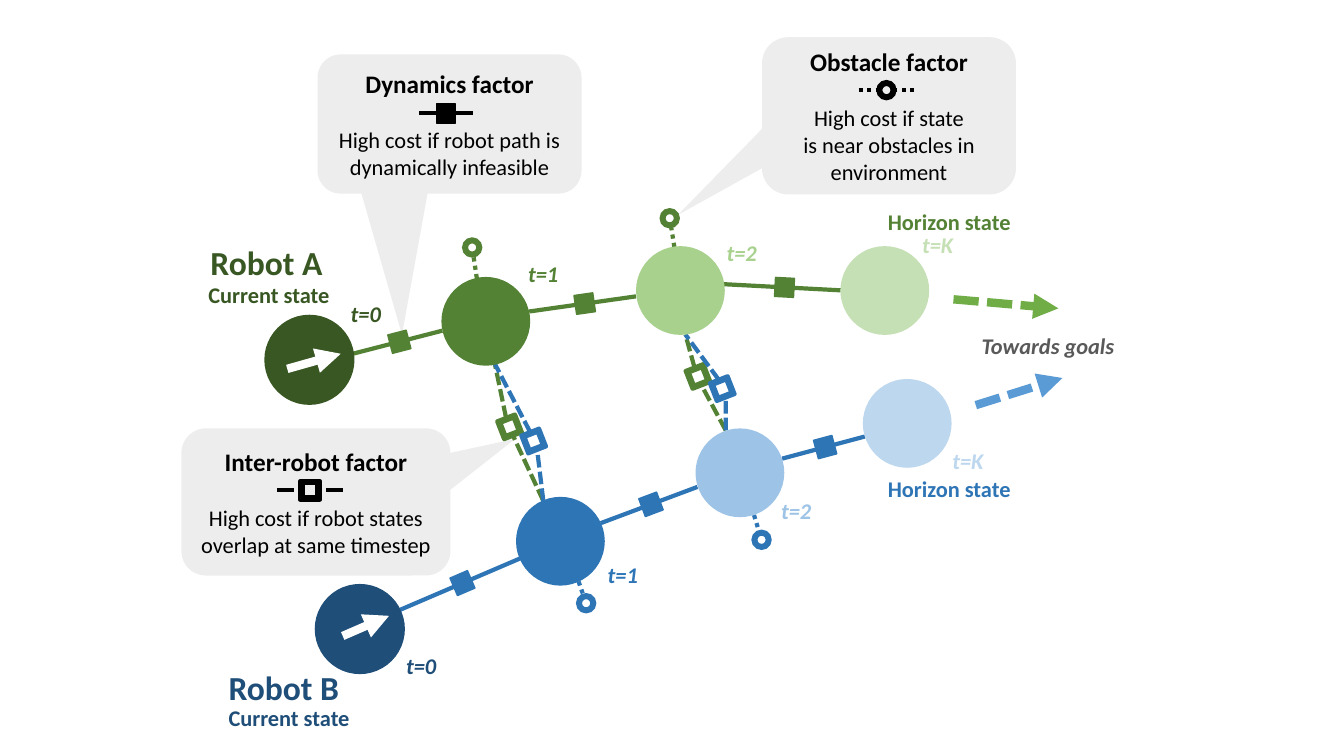
from copy import deepcopy
from math import atan2, cos, degrees, hypot, radians, sin

from lxml import etree
from pptx import Presentation
from pptx.dml.color import RGBColor
from pptx.enum import dml, shapes, text
from pptx.oxml import ns
from pptx.util import Pt

BLACK = RGBColor(0x00, 0x00, 0x00)
WHITE = RGBColor(0xFF, 0xFF, 0xFF)
CALLOUT_GREY = RGBColor(0xED, 0xED, 0xED)
GOAL_GREY = RGBColor(0x59, 0x59, 0x59)
GREENS = [RGBColor(0x38, 0x57, 0x23), RGBColor(0x54, 0x82, 0x35),
          RGBColor(0xA9, 0xD1, 0x8E), RGBColor(0xC5, 0xE0, 0xB4)]
BLUES = [RGBColor(0x1F, 0x4E, 0x79), RGBColor(0x2E, 0x75, 0xB6),
         RGBColor(0x9D, 0xC3, 0xE6), RGBColor(0xBD, 0xD7, 0xEE)]
GOAL_GREEN = RGBColor(0x70, 0xAD, 0x47)
GOAL_BLUE = RGBColor(0x5B, 0x9B, 0xD5)

FONT = "Calibri"
FACTOR = 13.6  # side of a factor symbol
STATE = 63.4  # diameter of a state
TILT = 338.6  # rotation of the inter-robot factors
TIMES = ["t=0", "t=1", "t=2", "t=K"]
SHAPE = shapes.MSO_SHAPE
DASH = dml.MSO_LINE


def write(paragraph, words, size=16, color=BLACK, bold=True, italic=False,
          align=text.PP_ALIGN.LEFT, before=0):
    paragraph.text = words
    paragraph.alignment = align
    if before:
        paragraph.space_before = Pt(before)
    for run in paragraph.runs:
        font = run.font
        font.name, font.size, font.bold, font.italic = FONT, Pt(size), bold, italic
        font.color.rgb = color
    # Line breaks take the format of the first run
    for line_break in paragraph._p.findall(ns.qn("a:br")):
        line_break.append(deepcopy(paragraph.runs[0]._r.rPr))


def label(slide, words, x, y, width, height=26.6, wrap=False, **look):
    frame = slide.shapes.add_textbox(Pt(x), Pt(y), Pt(width), Pt(height)).text_frame
    frame.word_wrap = wrap
    frame.auto_size = text.MSO_AUTO_SIZE.SHAPE_TO_FIT_TEXT
    write(frame.paragraphs[0], words, **look)


def solid(slide, kind, x, y, width, height, color, outline=0, turn=0):
    shape = slide.shapes.add_shape(kind, Pt(x), Pt(y), Pt(width), Pt(height))
    shape.shadow.inherit = False
    shape.rotation = turn
    shape.fill.solid()
    shape.fill.fore_color.rgb = color
    if outline:
        shape.line.color.rgb = color
        shape.line.width = Pt(outline)
    else:
        shape.line.fill.background()
    return shape


def symbol(slide, kind, center, color, side=FACTOR, outline=1, turn=0):
    x, y = center
    solid(slide, kind, x - side / 2, y - side / 2, side, side, color, outline, turn)


def link(slide, start, end, color, width=3, dash=None, arrow=False):
    line = slide.shapes.add_connector(shapes.MSO_CONNECTOR.STRAIGHT,
                                      *map(Pt, (*start, *end)))
    line.line.color.rgb = color
    line.line.width = Pt(width)
    if dash:
        line.line.dash_style = dash
    if arrow:
        etree.SubElement(line.line._get_or_add_ln(), ns.qn("a:tailEnd"), type="triangle")
    etree.SubElement(line._element.spPr, ns.qn("a:effectLst"))


def callout(slide, box, tip, title, body, kind, center, arm, dash=None, outline=1):
    """Rounded callout with a title, a factor symbol and an explanation."""
    x, y, width, height = box
    bubble = solid(slide, SHAPE.ROUNDED_RECTANGULAR_CALLOUT, *box, CALLOUT_GREY)
    for i, value in enumerate((*tip, 0.167)):
        bubble.adjustments[i] = value
    frame = bubble.text_frame
    frame.word_wrap = True
    frame.vertical_anchor = text.MSO_ANCHOR.MIDDLE
    write(frame.paragraphs[0], title, size=18, align=text.PP_ALIGN.CENTER)
    write(frame.add_paragraph(), body, bold=False,
          align=text.PP_ALIGN.CENTER, before=19.5)
    # Factor symbol between its two arms
    cx, cy = x + center[0], y + center[1]
    for side in (-1, 1):
        inner = FACTOR / 2
        link(slide, (cx + side * (inner + arm), cy), (cx + side * inner, cy),
             BLACK, dash=dash)
    symbol(slide, kind, (cx, cy), BLACK, outline=outline)


def inter_robot_factors(slide, box, centers):
    """Green and blue factors tying two states; the states meet the box corners."""
    x, y, width, height = box
    edge = FACTOR / 2
    dx, dy = -sin(radians(TILT)) * edge, cos(radians(TILT)) * edge
    for (cx, cy), color in zip(centers, (GREENS[1], BLUES[1])):
        cx, cy = x + cx, y + cy
        link(slide, (cx - dx, cy - dy), (x, y), color, dash=DASH.SQUARE_DOT)
        link(slide, (x + width, y + height), (cx + dx, cy + dy), color,
             dash=DASH.SQUARE_DOT)
        symbol(slide, SHAPE.FRAME, (cx, cy), color, outline=3, turn=TILT)


def robot_path(slide, box, name, shades, goal_color, states, links, obstacles,
               times, captions, heading, goal):
    """Chain of predicted states of one robot, with its factors and labels."""
    left, top = box[:2]

    def at(point):
        return left + point[0], top + point[1]

    main = shades[1]
    # Dynamics factors
    for start, end in links:
        (x1, y1), (x2, y2) = at(start), at(end)
        link(slide, (x1, y1), (x2, y2), main, width=3)
        middle = x1 + 0.52 * (x2 - x1), y1 + 0.52 * (y2 - y1)
        symbol(slide, SHAPE.RECTANGLE, middle, main,
               turn=degrees(atan2(y2 - y1, x2 - x1)))
    # Obstacle factors
    for start, ring in obstacles:
        (x1, y1), (x2, y2) = at(start), at(ring)
        reach = FACTOR / 2 / hypot(x1 - x2, y1 - y2)
        link(slide, (x1, y1), (x2 + reach * (x1 - x2), y2 + reach * (y1 - y2)),
             main, dash=DASH.ROUND_DOT)
        symbol(slide, SHAPE.DONUT, (x2, y2), main)
    # States and their times
    for i, (state, place) in enumerate(zip(states, times)):
        symbol(slide, SHAPE.OVAL, at(state), shades[i], side=STATE,
               outline=0 if i else 1)
        label(slide, TIMES[i], *at(place), 36.7, color=shades[i], italic=True)
    # Heading and goal arrows
    link(slide, *map(at, heading), WHITE, width=6, arrow=True)
    link(slide, *map(at, goal), goal_color, width=6, dash=DASH.SQUARE_DOT, arrow=True)
    # Captions
    name_at, current_at, horizon_at = map(at, captions)
    label(slide, name, *name_at, 141.8, 50.4, wrap=True, size=24, color=shades[0])
    label(slide, "Current state", *current_at, 140.4, 36.7, color=shades[0])
    label(slide, "Horizon state", *horizon_at, 103, color=main)


def main():
    deck = Presentation()
    deck.slide_width, deck.slide_height = Pt(960), Pt(540)
    slide = deck.slides.add_slide(deck.slide_layouts[6])

    # Explanations of the factors
    callout(slide, (226.8, 38.9, 188.6, 99.4), (-0.18, 1.513), "Dynamics factor",
            "High cost if robot path is dynamically infeasible",
            SHAPE.RECTANGLE, (91.8, 42.1), 12.4)
    callout(slide, (129.6, 306, 192.2, 105.1), (0.74, -0.428), "Inter-robot factor",
            "High cost if robot states overlap at same timestep",
            SHAPE.FRAME, (91.8, 44.2), 16.6, DASH.DASH, outline=3)
    callout(slide, (544.3, 26.6, 181.4, 112.3), (-0.831, 0.63), "Obstacle factor",
            "High cost if state\nis near obstacles in environment",
            SHAPE.DONUT, (88.9, 37.8), 13, DASH.ROUND_DOT)

    # Factors between the robots at t=1 and t=2
    inter_robot_factors(slide, (353.5, 259.9, 34.6, 97.9), [(10.5, 45), (27.7, 55.1)])
    inter_robot_factors(slide, (489.6, 239, 28.8, 68.4), [(9, 29.9), (26.3, 38.6)])

    # Robot paths
    robot_path(
        slide, (140, 145, 616, 150), "Robot A", GREENS, GOAL_GREEN,
        states=[(81, 112), (207, 84.5), (346, 62.5), (492, 62.5)],
        links=[((112, 107.7), (176, 91.2)), ((238, 77.5), (314.3, 66.7)),
               ((377, 58), (460.5, 62.4))],
        obstacles=[((200.6, 53.7), (197.3, 31.8)), ((341.7, 31.4), (338.4, 10.9))],
        times=[(103.4, 66), (230.1, 37.2), (371.9, 22), (511.6, 16.3)],
        captions=[(3.3, 24.2), (1.8, 52.3), (487.1, 0.4)],
        heading=[(65.2, 118.5), (103.4, 107.7)], goal=[(541.1, 68.8), (616, 75.3)])
    robot_path(
        slide, (150, 270, 609, 266), "Robot B", BLUES, GOAL_BLUE,
        states=[(107, 179.3), (250.3, 116.6), (378.5, 67.7), (498, 32.4)],
        links=[((135.8, 165.6), (221.5, 128.9)), ((279.1, 103.7), (348.2, 77.8)),
               ((408.7, 57.6), (467.8, 41.8))],
        obstacles=[((263.3, 145.4), (268.7, 160.9)), ((388.6, 97.9), (394, 115.6))],
        times=[(133, 192.2), (277, 127.4), (400.8, 81.4), (523.2, 46.1)],
        captions=[(6.2, 203), (6.2, 229.7), (477.1, 65.5)],
        heading=[(94.8, 184.3), (127.9, 169.9)], goal=[(547, 19.4), (608.9, 0)])
    label(slide, "Towards goals", 694.1, 234, 152.6, 36.7, color=GOAL_GREY, italic=True)

    deck.save("out.pptx")


if __name__ == "__main__":
    main()
